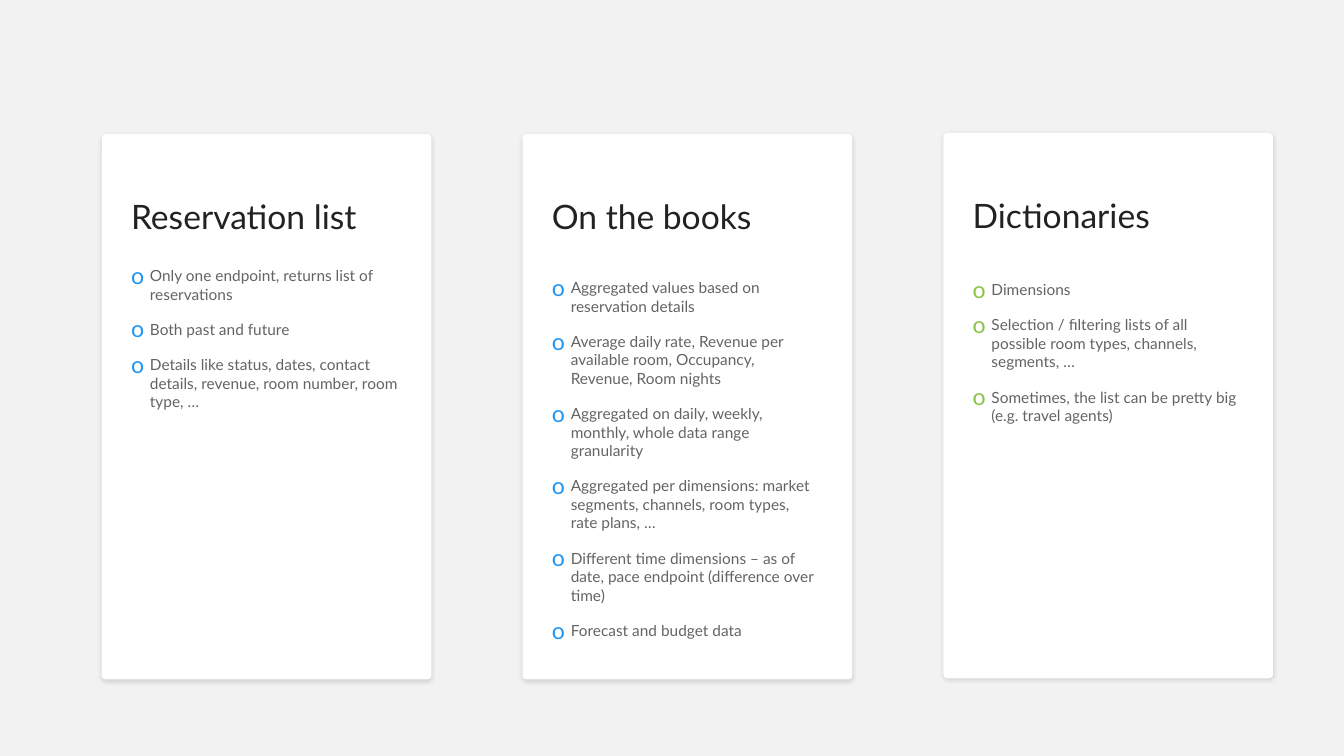
from lxml.etree import SubElement
from pptx import Presentation
from pptx.dml.color import RGBColor
from pptx.enum.shapes import MSO_SHAPE as Shape
from pptx.enum.text import MSO_ANCHOR as Anchor, MSO_AUTO_SIZE as AutoSize, PP_ALIGN as Align
from pptx.oxml.ns import qn
from pptx.util import Pt

COLORS = {"page": "F2F2F2", "card": "FFFFFF", "ink": "222222",
          "blue": "2196F3", "green": "8BC34A", "shadow": "000000"}
COMPARISON_LAYOUT = 4

CARD_LEFT, CARD_PITCH = 72.7, 300.6
CARD_WIDTH, CARD_HEIGHT = 235.4, 389.5
TEXT_INDENT, HEADING_DROP = 13.7, 46.1

# heading, card top, list top, bullet colour, heading and list placeholders, items
CARDS = [
    ("Reservation list", 95.8, 186.5, "blue", 0, 2, [
        "Only one endpoint, returns list of reservations",
        "Both past and future",
        "Details like status, dates, contact details, revenue, room number, room type, …",
    ]),
    ("On the books", 95.8, 195.1, "blue", 1, 4, [
        "Aggregated values based on reservation details",
        "Average daily rate, Revenue per available room, Occupancy, Revenue, Room nights",
        "Aggregated on daily, weekly, monthly, whole data range granularity",
        "Aggregated per dimensions: market segments, channels, room types, rate plans, …",
        "Different time dimensions – as of date, pace endpoint (difference over time)",
        "Forecast and budget data",
    ]),
    ("Dictionaries", 95, 196.6, "green", 3, None, [
        "Dimensions",
        "Selection / filtering lists of all possible room types, channels, segments, …",
        "Sometimes, the list can be pretty big (e.g. travel agents)",
    ]),
]


def set_attributes(target, values):
    for name, value in values.items():
        setattr(target, name, value)


def add_element(parent, tag, **attributes):
    return SubElement(parent, qn(tag), attributes)


class CardSlide:
    HEADING = {"name": "Lato", "size": Pt(24), "bold": False}
    ITEM = {"name": "Lato", "size": Pt(11), "bold": False}
    FRAME = {"word_wrap": True, "auto_size": AutoSize.NONE, "vertical_anchor": Anchor.TOP,
             "margin_left": Pt(7.2), "margin_right": Pt(7.2),
             "margin_top": Pt(3.6), "margin_bottom": Pt(3.6)}

    def __init__(self, presentation):
        self.slide = presentation.slides.add_slide(presentation.slide_layouts[COMPARISON_LAYOUT])
        self.placeholders = {shape.placeholder_format.idx: shape
                             for shape in self.slide.placeholders}
        fill = self.slide.background.fill
        fill.solid()
        fill.fore_color.rgb = RGBColor.from_string(COLORS["page"])

    def card(self, left, top):
        shape = self.slide.shapes.add_shape(
            Shape.ROUNDED_RECTANGLE, Pt(left), Pt(top), Pt(CARD_WIDTH), Pt(CARD_HEIGHT))
        shape.adjustments[0] = 0.012
        shape.fill.solid()
        shape.fill.fore_color.rgb = RGBColor.from_string(COLORS["card"])
        shape.line.fill.background()
        shape.shadow.inherit = False
        effects = shape.element.spPr.find(qn("a:effectLst"))
        shadow = add_element(effects, "a:outerShdw", blurRad=str(Pt(3)), dist=str(Pt(1)),
                             dir="5400000", algn="t", rotWithShape="0")
        color = add_element(shadow, "a:srgbClr", val=COLORS["shadow"])
        add_element(color, "a:alpha", val="15000")

    def text_frame(self, index, left, top, width, height):
        """Return the frame of a placeholder brought to the front, or of a text box."""
        box = [Pt(length) for length in (left, top, width, height)]
        shape = self.placeholders.get(index)
        if shape is None:
            shape = self.slide.shapes.add_textbox(*box)
        else:
            set_attributes(shape, dict(zip(("left", "top", "width", "height"), box)))
            shape.element.getparent().append(shape.element)
        set_attributes(shape.text_frame, self.FRAME)
        return shape.text_frame

    def fill_paragraph(self, paragraph, text, font, spacing):
        set_attributes(paragraph, {"alignment": Align.LEFT, **spacing})
        run = paragraph.add_run()
        run.text = text
        set_attributes(run.font, font)
        run.font.color.rgb = RGBColor.from_string(COLORS["ink"])
        return run

    def heading(self, index, left, top, text):
        frame = self.text_frame(index, left, top, 221.8, 46.1)
        self.fill_paragraph(frame.paragraphs[0], text, self.HEADING,
                            {"line_spacing": 0.8, "space_before": Pt(0)})

    def bullet(self, paragraph, color):
        properties = paragraph._p.get_or_add_pPr()
        properties.set("marL", str(Pt(13.5)))
        properties.set("indent", str(Pt(-13.5)))
        add_element(add_element(properties, "a:buClr"), "a:srgbClr", val=COLORS[color])
        add_element(properties, "a:buSzPct", val="150000")
        add_element(properties, "a:buFont", typeface="Lato")
        add_element(properties, "a:buChar", char="o")

    def bullet_list(self, index, left, top, items, color):
        frame = self.text_frame(index, left, top, 205.2, 229)
        for number, item in enumerate(items):
            paragraph = frame.add_paragraph() if number else frame.paragraphs[0]
            self.bullet(paragraph, color)
            run = self.fill_paragraph(
                paragraph, item, self.ITEM,
                {"line_spacing": 1.0, "space_before": Pt(12 if number else 0)})
            ink = run._r.rPr.find(".//" + qn("a:srgbClr"))
            add_element(ink, "a:alpha", val="70000")


def main():
    presentation = Presentation()
    set_attributes(presentation, {"slide_width": Pt(960), "slide_height": Pt(540)})
    page = CardSlide(presentation)
    for column, (heading, top, list_top, color, heading_index, list_index, items) in enumerate(CARDS):
        left = CARD_LEFT + column * CARD_PITCH
        page.card(left, top)
        page.heading(heading_index, left + TEXT_INDENT, top + HEADING_DROP, heading)
        page.bullet_list(list_index, left + TEXT_INDENT, list_top, items, color)
    presentation.save("out.pptx")


if __name__ == "__main__":
    main()
